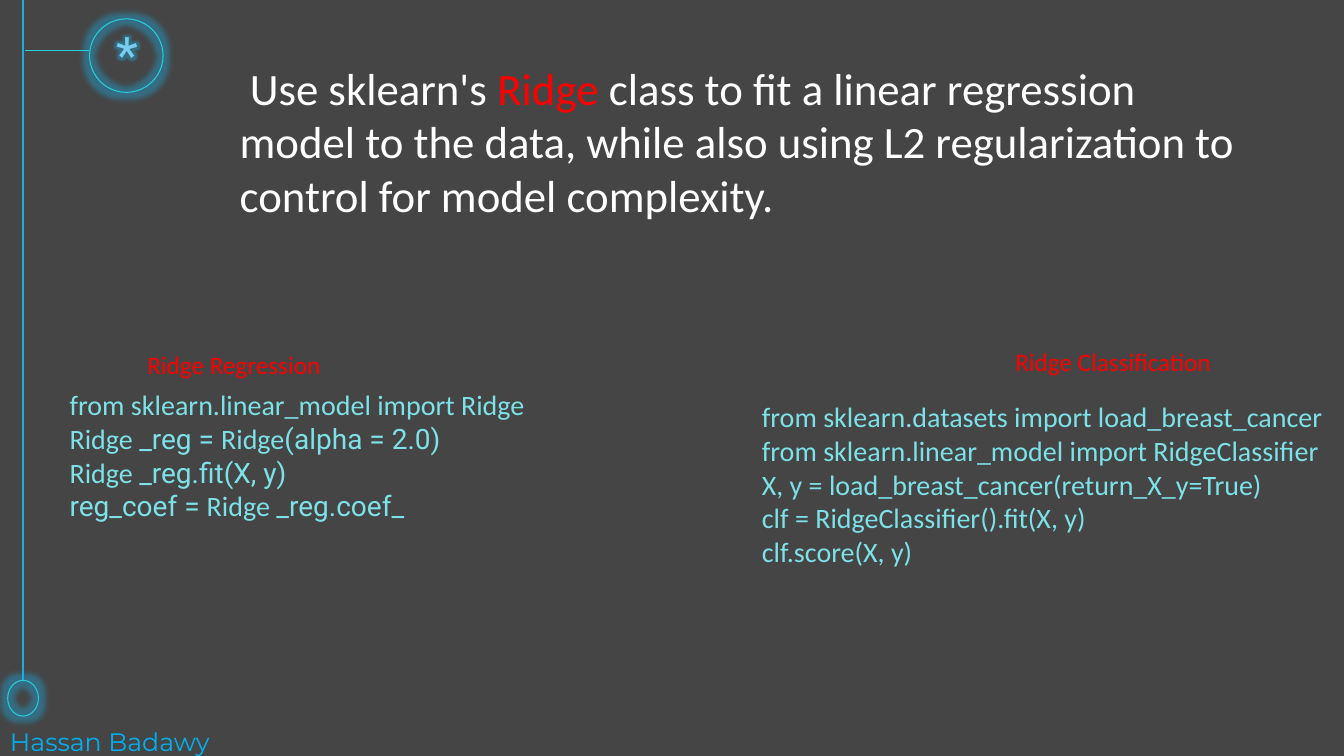
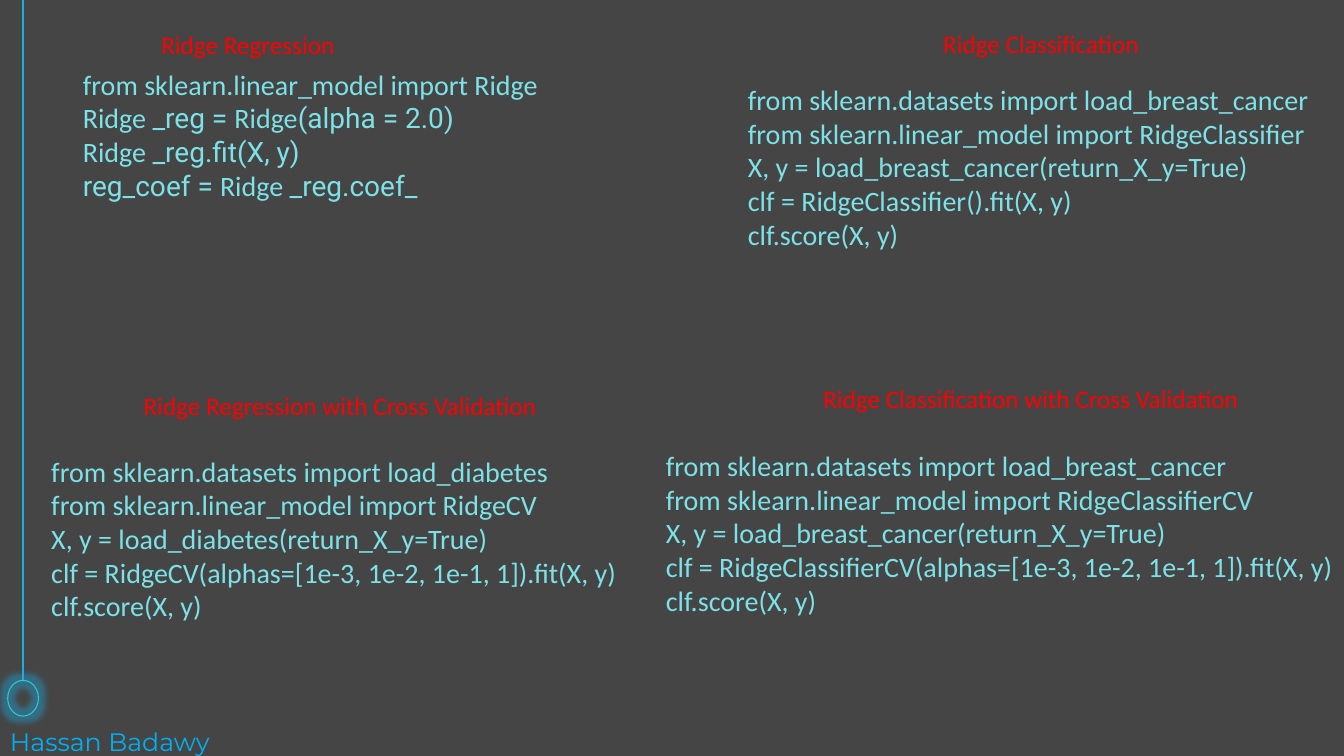
"""Build two slides of ridge regression and classification code samples."""
from dataclasses import dataclass

from lxml import etree
from pptx import Presentation, util as u
from pptx.dml.color import RGBColor
from pptx.enum import shapes, text
from pptx.oxml import ns

COLORS = {
    "background": "454545", "rail": "1CADE4", "ring": "27CED7", "footer": "00B0F0",
    "star": "77CEEF", "code": "7DE2E7", "accent": "FF0000", "title": "FFFFFF",
}
BODY_FONT, CODE_FONT, FOOTER_FONT = "Calibri", "Roboto", "Montserrat"
COMPARISON_LAYOUT = 4
RAIL_X, RAIL_END = 16.5, 486
GLOW_RADIUS = 8


@dataclass(frozen=True)
class Box:
    left: float
    top: float
    width: float
    height: float


@dataclass(frozen=True)
class Span:
    text: str
    font: str | None = None
    color: str | None = None


Line = tuple[Span, ...]


@dataclass(frozen=True)
class Sample:
    heading: str
    lines: tuple[Line, ...]


@dataclass(frozen=True)
class Card:
    sample: Sample
    heading_box: Box
    code_box: Box


def plain(*lines: str) -> tuple[Line, ...]:
    """Turn each string into a line of one span."""
    return tuple((Span(line),) for line in lines)


def classifier_lines(data: str, model: str, arguments: str = "") -> tuple[Line, ...]:
    """Return the code that loads a data set, fits a model and scores it."""
    return plain(
        f"from sklearn.datasets import {data}",
        f"from sklearn.linear_model import {model}",
        f"X, y = {data}(return_X_y=True)",
        f"clf = {model}({arguments}).fit(X, y)",
        "clf.score(X, y)",
    )


ALPHAS = "alphas=[1e-3, 1e-2, 1e-1, 1]"
REGRESSION = Sample("Ridge Regression", (
    (Span("from sklearn.linear_model import Ridge"),),
    (Span("Ridge "), Span("_reg = ", CODE_FONT), Span("Ridge"),
     Span("(alpha = 2.0)", CODE_FONT)),
    (Span("Ridge "), Span("_reg.fit(X, y)", CODE_FONT)),
    (Span("reg_coef = ", CODE_FONT), Span("Ridge "), Span("_reg.coef_", CODE_FONT)),
))
CLASSIFICATION = Sample("Ridge Classification",
                        classifier_lines("load_breast_cancer", "RidgeClassifier"))
REGRESSION_CV = Sample("Ridge Regression with Cross Validation",
                       classifier_lines("load_diabetes", "RidgeCV", ALPHAS))
CLASSIFICATION_CV = Sample(
    "Ridge Classification with Cross Validation",
    classifier_lines("load_breast_cancer", "RidgeClassifierCV", ALPHAS))

TITLE: Line = (
    Span(" Use sklearn's "),
    Span("Ridge ", color="accent"),
    Span("class to fit a linear regression model to the data, while also using "
         "L2 regularization to control for model complexity."),
)
INTRO_CARDS = (
    Card(REGRESSION, Box(98, 246, 140, 29), Box(42.5, 273.5, 478, 172)),
    Card(CLASSIFICATION, Box(718, 243.5, 156, 29), Box(537, 282, 478, 197)),
)
SUMMARY_CARDS = (
    Card(REGRESSION, Box(108, 17.5, 140, 29), Box(52, 44.5, 478, 172)),
    Card(CLASSIFICATION, Box(666.5, 16.5, 156, 29), Box(527, 55.5, 478, 197)),
    Card(REGRESSION_CV, Box(95.5, 275, 297, 29), Box(29.5, 321, 478, 163)),
    Card(CLASSIFICATION_CV, Box(581, 270, 313, 29), Box(468.5, 317, 521, 197)),
)


def rgb(name: str) -> RGBColor:
    """Look up a palette colour."""
    return RGBColor.from_string(COLORS[name])


def frame(box: Box) -> tuple[u.Length, ...]:
    """Convert a box to lengths."""
    return tuple(u.Pt(value) for value in (box.left, box.top, box.width, box.height))


def glow_effect() -> etree._Element:
    """Create the soft blue glow."""
    effects = etree.Element(ns.qn("a:effectLst"))
    glow = etree.SubElement(effects, ns.qn("a:glow"), rad=str(u.Pt(GLOW_RADIUS)))
    color = etree.SubElement(glow, ns.qn("a:srgbClr"), val=COLORS["rail"])
    etree.SubElement(color, ns.qn("a:alpha"), val="40000")
    return effects


def write_text(shape, lines: tuple[Line, ...], *, size: float, color: str,
               font: str = BODY_FONT, wrap: bool = True,
               align=text.PP_ALIGN.LEFT, glow: bool = False) -> None:
    """Write formatted lines without bullets into a shape."""
    body = shape.text_frame
    body.word_wrap = wrap
    body.auto_size = text.MSO_AUTO_SIZE.NONE
    body.vertical_anchor = text.MSO_ANCHOR.TOP
    for index, line in enumerate(lines):
        para = body.add_paragraph() if index else body.paragraphs[0]
        para.alignment = align
        para.space_before = u.Pt(0)
        properties = para._p.get_or_add_pPr()
        properties.set("marL", "0")
        properties.set("indent", "0")
        etree.SubElement(properties, ns.qn("a:buNone"))
        for span in line:
            run = para.add_run()
            run.text = span.text
            run.font.size = u.Pt(size)
            run.font.bold = False
            run.font.name = span.font or font
            run.font.color.rgb = rgb(span.color or color)
            if glow:
                run._r.rPr.find(ns.qn("a:solidFill")).addnext(glow_effect())


def place(page, box: Box, holder=None):
    """Move a placeholder into the box, or add a text box there."""
    if holder is None:
        return page.shapes.add_textbox(*frame(box))
    holder.left, holder.top, holder.width, holder.height = frame(box)
    return holder


def add_line(page, start: tuple[float, float], end: tuple[float, float],
             color: str, weight: float) -> None:
    """Draw a straight line without shadow."""
    points = [u.Pt(value) for value in (*start, *end)]
    line = page.shapes.add_connector(shapes.MSO_CONNECTOR.STRAIGHT, *points)
    line.line.color.rgb = rgb(color)
    line.line.width = u.Pt(weight)
    etree.SubElement(line._element.spPr, ns.qn("a:effectLst"))


def add_ring(page, box: Box) -> None:
    """Draw a glowing unfilled ellipse."""
    ring = page.shapes.add_shape(shapes.MSO_SHAPE.OVAL, *frame(box))
    ring.fill.background()
    ring.line.color.rgb = rgb("ring")
    ring.line.width = u.Pt(0.75)
    ring._element.spPr.append(glow_effect())


def add_page(deck):
    """Add a page with the rail, its ring and the footer."""
    page = deck.slides.add_slide(deck.slide_layouts[COMPARISON_LAYOUT])
    footer = place(page, Box(0, 515, 173, 29))
    write_text(footer, plain("Hassan Badawy"), size=18, color="footer",
               font=FOOTER_FONT, wrap=False)
    add_line(page, (RAIL_X, 0), (RAIL_X, RAIL_END), "rail", 1.5)
    add_ring(page, Box(5.5, RAIL_END, 22, 25.5))
    return page


def add_badge(page) -> None:
    """Draw the star badge and its link to the rail."""
    add_ring(page, Box(64, 13.5, 52.5, 52.5))
    add_line(page, (18, 36), (63.5, 36), "ring", 0.75)
    write_text(place(page, Box(70, 13, 41.5, 51)), plain("*"), size=36, color="star",
               font=CODE_FONT, align=text.PP_ALIGN.CENTER, glow=True)


def add_cards(page, cards: tuple[Card, ...]) -> None:
    """Fill the placeholder pairs first, then text boxes, with code cards."""
    holders = {holder.placeholder_format.idx: holder for holder in page.placeholders}
    for index, card in enumerate(cards):
        heading = place(page, card.heading_box, holders.get(2 * index + 1))
        write_text(heading, plain(card.sample.heading), size=18, color="accent", wrap=False)
        code = place(page, card.code_box, holders.get(2 * index + 2))
        write_text(code, card.sample.lines, size=20, color="code")


def main() -> None:
    """Build and save the deck."""
    deck = Presentation()
    deck.slide_width, deck.slide_height = u.Pt(960), u.Pt(540)
    fill = deck.slide_master.background.fill
    fill.solid()
    fill.fore_color.rgb = rgb("background")

    intro = add_page(deck)
    add_badge(intro)
    title = place(intro, Box(164, 39.5, 731.5, 124), intro.shapes.title)
    write_text(title, (TITLE,), size=32, color="title")
    add_cards(intro, INTRO_CARDS)

    summary = add_page(deck)
    unused = summary.shapes.title._element
    unused.getparent().remove(unused)
    add_cards(summary, SUMMARY_CARDS)

    deck.save("out.pptx")


if __name__ == "__main__":
    main()
